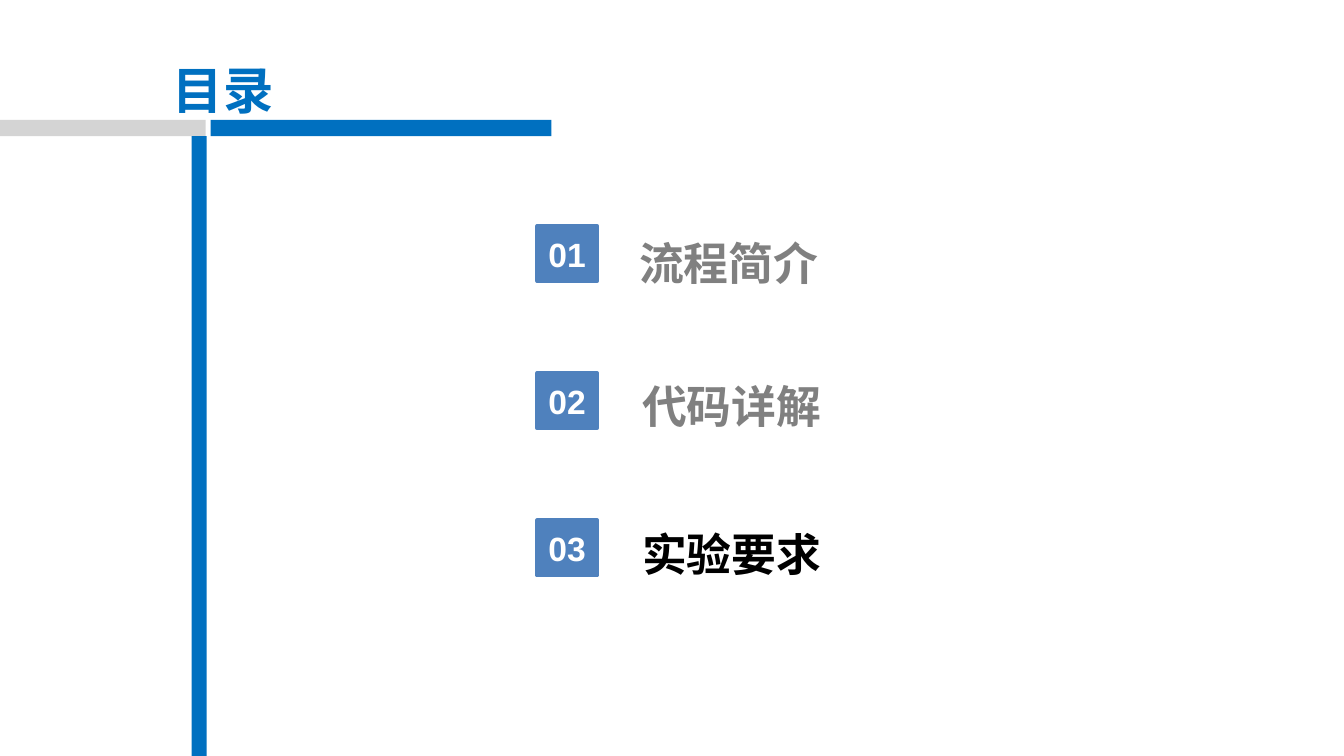
from lxml import etree
from pptx import Presentation
from pptx import util as u
from pptx.dml.color import RGBColor
from pptx.enum import shapes, text
from pptx.oxml.ns import qn

EMU_PER_PX = 9144  # 100 px to the inch
LATIN, CHINESE = "Arial", "Noto Sans CJK SC"
BLUE, NUMBER_BLUE, SILVER = "0070C0", "4F81BD", "BFBFBF"
GRAY, BLACK, WHITE = "808080", "000000", "FFFFFF"


def px(*lengths):
    return [u.Emu(length * EMU_PER_PX) for length in lengths]


def color(hex_string):
    return RGBColor.from_string(hex_string)


def write(frame, content, size, ink, font=CHINESE, align=text.PP_ALIGN.LEFT,
          spacing=1.0, anchor=text.MSO_ANCHOR.TOP, wrap=False):
    """Fill a text frame with one bold paragraph."""
    frame.word_wrap = wrap
    frame.vertical_anchor = anchor
    paragraph = frame.paragraphs[0]
    paragraph.alignment = align
    paragraph.line_spacing = spacing
    run = paragraph.add_run()
    run.text = content
    run.font.size = u.Pt(size)
    run.font.bold = True
    run.font.color.rgb = color(ink)
    run.font.name = font
    east_asian = etree.SubElement(run.font._element, qn("a:ea"))
    east_asian.set("typeface", font)


class ContentsSlide:
    def __init__(self, presentation):
        self.slide = presentation.slides.add_slide(presentation.slide_layouts[6])

    def bar(self, left, top, width, height, fill, opacity=100):
        shape = self.slide.shapes.add_shape(
            shapes.MSO_SHAPE.RECTANGLE, *px(left, top, width, height))
        shape.shadow.inherit = False
        shape.fill.solid()
        shape.fill.fore_color.rgb = color(fill)
        shape.line.fill.background()
        if opacity < 100:
            rgb = shape._element.spPr.find(f".//{qn('a:srgbClr')}")
            etree.SubElement(rgb, qn("a:alpha")).set("val", str(opacity * 1000))
        return shape

    def label(self, left, top, width, height, content, **style):
        box = self.slide.shapes.add_textbox(*px(left, top, width, height))
        box.text_frame.auto_size = text.MSO_AUTO_SIZE.SHAPE_TO_FIT_TEXT
        write(box.text_frame, content, **style)

    def number(self, left, top, content):
        square = self.bar(left, top, 59, 55, NUMBER_BLUE)
        square.line.color.rgb = color(NUMBER_BLUE)
        square.line.width = u.Pt(2.75)
        write(square.text_frame, content, size=24, ink=WHITE, font=LATIN,
              align=text.PP_ALIGN.CENTER, anchor=text.MSO_ANCHOR.MIDDLE)


def main():
    presentation = Presentation()
    presentation.slide_width, presentation.slide_height = px(1333, 750)
    contents = ContentsSlide(presentation)

    contents.label(112, 47, 219, 73, "目录", size=36, ink=BLUE, spacing=1.12,
                   align=text.PP_ALIGN.CENTER, wrap=True)
    contents.bar(0, 119, 204, 16, SILVER, opacity=66)
    contents.bar(209, 119, 338, 16, BLUE)
    contents.bar(190, 135, 15, 615, BLUE)

    chapters = [
        ("流程简介", 624, 202, GRAY),
        ("代码详解", 627, 344, GRAY),
        ("实验要求", 627, 491, BLACK),
    ]
    for index, (title, left, top, ink) in enumerate(chapters):
        contents.number(533, 224 + 146 * index, f"{index + 1:02d}")
        contents.label(left, top, 200, 81, title, size=32, ink=ink, spacing=1.5)

    presentation.save("out.pptx")


if __name__ == "__main__":
    main()
